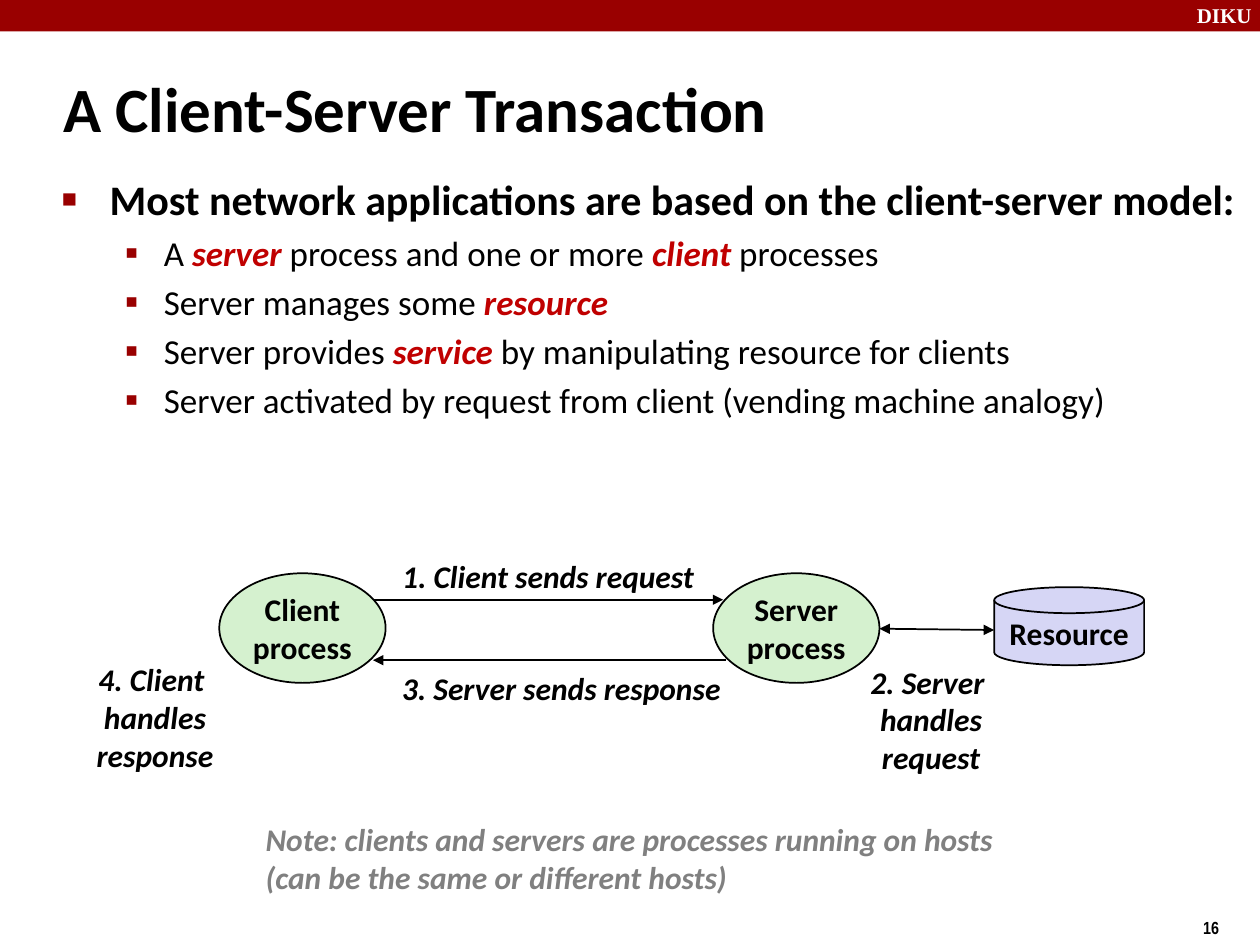
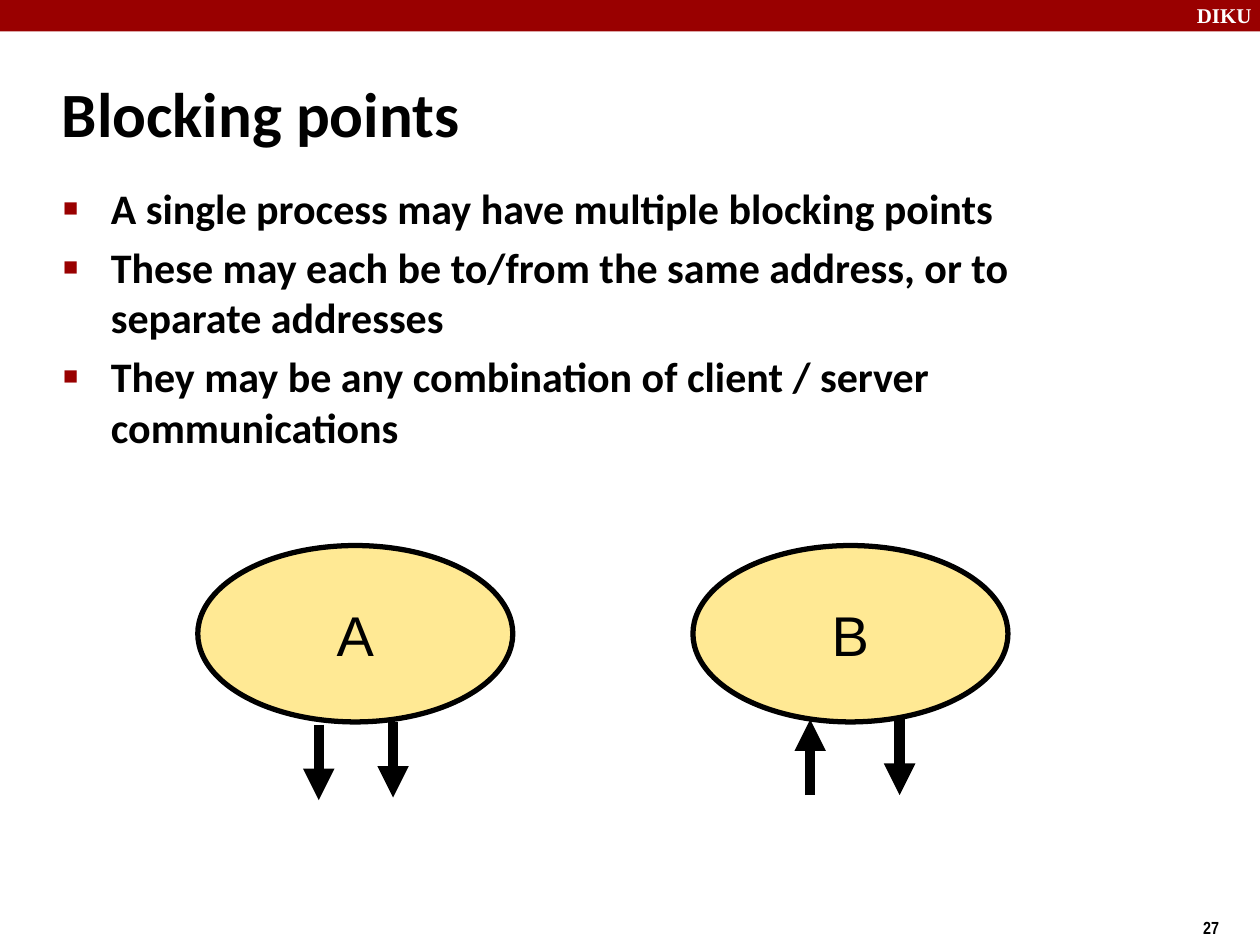
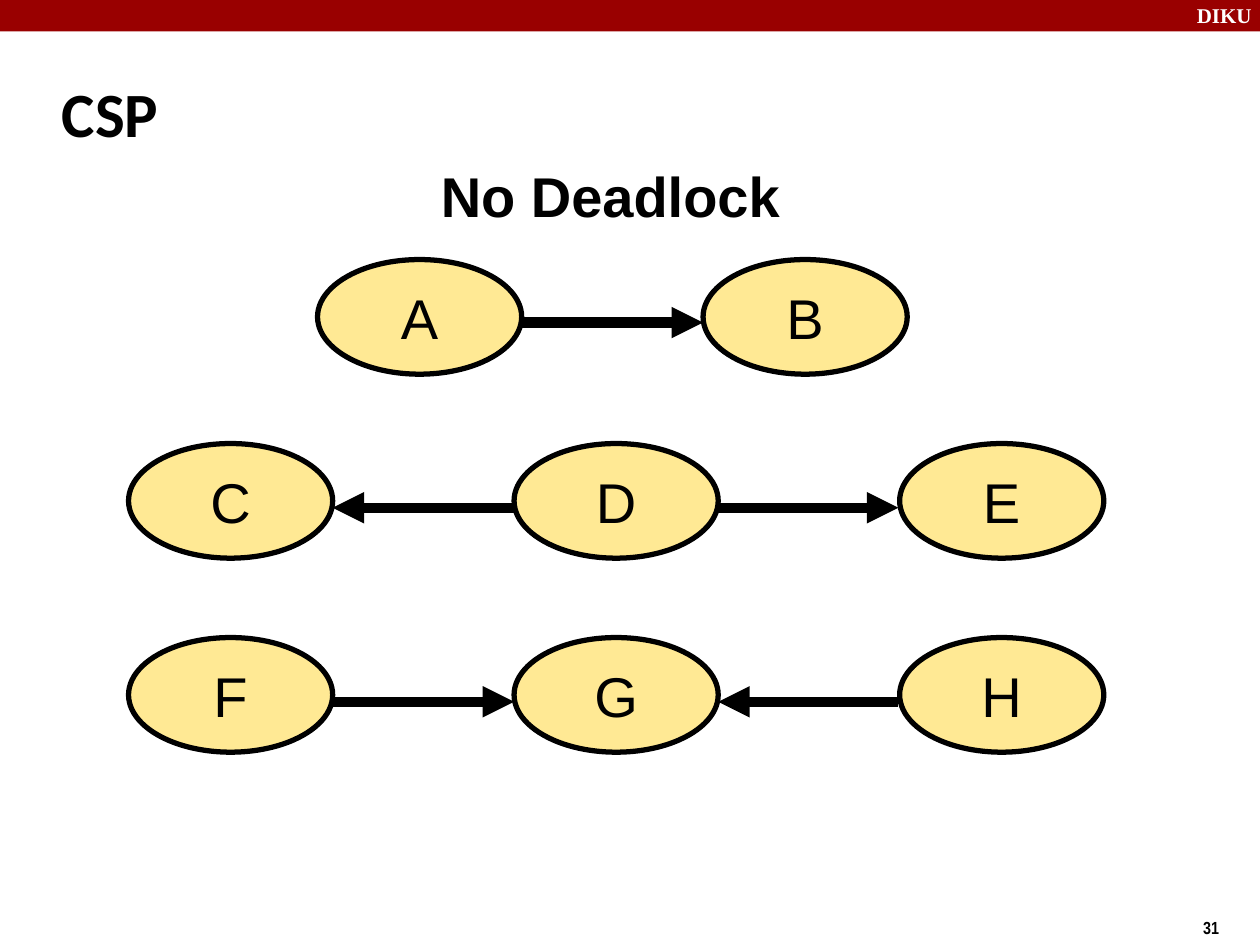
from dataclasses import dataclass

from lxml.etree import SubElement
from pptx import Presentation
from pptx.dml.color import RGBColor
from pptx.enum.shapes import MSO_CONNECTOR, MSO_SHAPE
from pptx.enum.text import MSO_ANCHOR, MSO_AUTO_SIZE, PP_ALIGN
from pptx.oxml.ns import qn
from pptx.util import Inches, Pt


@dataclass(frozen=True)
class Style:
    font: str
    size: int
    color: str = "000000"
    bold: bool = True
    italic: bool = False


@dataclass(frozen=True)
class Theme:
    band: str = "990000"
    ink: str = "000000"
    process: str = "D5F1CF"
    resource: str = "D6D6F5"
    node: str = "FFE994"
    title: Style = Style("Calibri", 36)
    main: Style = Style("Calibri", 24)
    detail: Style = Style("Calibri", 20, bold=False)
    emphasis: Style = Style("Calibri", 20, "C00000", italic=True)
    box: Style = Style("Calibri", 18)
    label: Style = Style("Calibri", 18, italic=True)
    note: Style = Style("Calibri", 18, "808080", italic=True)
    letter: Style = Style("Arial", 32, bold=False)
    heading: Style = Style("Arial", 32)
    brand: Style = Style("Times New Roman", 12, "FFFFFF")
    page: Style = Style("Arial Narrow", 10)


theme = Theme()


def write(frame, paragraphs, alignment=PP_ALIGN.LEFT, anchor=MSO_ANCHOR.TOP, wrap=False):
    """Fill a text frame; each paragraph is a list of (text, style) runs."""
    frame.auto_size = MSO_AUTO_SIZE.NONE
    frame.word_wrap = wrap
    frame.vertical_anchor = anchor
    for index, runs in enumerate(paragraphs):
        paragraph = frame.add_paragraph() if index else frame.paragraphs[0]
        paragraph.alignment = alignment
        for text, style in runs:
            run = paragraph.add_run()
            run.text = text
            run.font.name = style.font
            run.font.size = Pt(style.size)
            run.font.bold = style.bold
            run.font.italic = style.italic
            run.font.color.rgb = RGBColor.from_string(style.color)


def add_arrow(slide, start, end, width, ends=("tailEnd",)):
    points = [Inches(value) for value in (*start, *end)]
    connector = slide.shapes.add_connector(MSO_CONNECTOR.STRAIGHT, *points)
    connector.line.width = Pt(width)
    connector.line.color.rgb = RGBColor.from_string(theme.ink)
    properties = connector.element.spPr
    for end_name in ends:
        SubElement(properties.find(qn("a:ln")), qn(f"a:{end_name}"), type="triangle")
    SubElement(properties, qn("a:effectLst"))


presentation = Presentation()
presentation.slide_width = Inches(10)
presentation.slide_height = Inches(7.5)

# Titles and page numbers
slides = []
for title, page, layout, title_box in [
    ("A Client-Server Transaction", "16", 1, (0.4, 0.54, 7.83, 0.63)),
    ("Blocking points", "27", 1, (0.39, 0.48, 8.3, 0.83)),
    ("CSP", "31", 5, (0.39, 0.48, 8.3, 0.83)),
]:
    slide = presentation.slides.add_slide(presentation.slide_layouts[layout])
    slides.append(slide)
    shape = slide.shapes.title
    shape.left, shape.top, shape.width, shape.height = map(Inches, title_box)
    write(shape.text_frame, [[(title, theme.title)]], anchor=MSO_ANCHOR.MIDDLE, wrap=True)
    number = slide.shapes.add_textbox(*map(Inches, (9.45, 7.23, 0.75, 0.29)))
    write(number.text_frame, [[(page, theme.page)]])
transaction, blocking, csp = slides

# Band and department name, moved to the master so that every slide shows them
band = transaction.shapes.add_shape(MSO_SHAPE.RECTANGLE, 0, 0, Inches(10), Inches(0.25))
band.shadow.inherit = False
band.fill.solid()
band.fill.fore_color.rgb = RGBColor.from_string(theme.band)
band.line.fill.background()
department = transaction.shapes.add_textbox(*map(Inches, (9.4, -0.03, 0.67, 0.3)))
write(department.text_frame, [[("DIKU", theme.brand)]], wrap=True)
for shape_id, shape in enumerate((band, department), 101):
    shape.element.nvSpPr.cNvPr.set("id", str(shape_id))
    presentation.slide_master.element.cSld.spTree.append(shape.element)

# Bulleted lists
main, detail, emphasis = theme.main, theme.detail, theme.emphasis
bullets = [("■", 60000, 0.38, -0.38, 4.8), ("▪", 110000, 0.81, -0.31, 4)]
for slide, box, paragraphs in [
    (transaction, (0.39, 1.33, 9.52, 2.25), [
        [("Most network applications are based on the client-server model:", main)],
        [("A ", detail), ("server", emphasis), (" process and one or more ", detail),
         ("client ", emphasis), ("processes", detail)],
        [("Server manages some ", detail), ("resource", emphasis)],
        [("Server provides ", detail), ("service", emphasis),
         (" by manipulating resource for clients", detail)],
        [("Server activated by request from client (vending machine analogy)", detail)],
    ]),
    (blocking, (0.4, 1.4, 8.97, 2.82), [
        [("A single process may have multiple blocking points", main)],
        [("These may each be to/from the same address, or to separate addresses", main)],
        [("They may be any combination of client / server communications", main)],
    ]),
]:
    body = slide.placeholders[1]
    body.left, body.top, body.width, body.height = map(Inches, box)
    write(body.text_frame, paragraphs, wrap=True)
    for index, (paragraph, runs) in enumerate(zip(body.text_frame.paragraphs, paragraphs)):
        paragraph.level = 0 if runs[0][1] is main else 1
        character, percent, margin, indent, space = bullets[paragraph.level]
        paragraph.space_before = Pt(space if index else 0)
        properties = paragraph._p.get_or_add_pPr()
        properties.set("marL", str(Inches(margin)))
        properties.set("indent", str(Inches(indent)))
        color = SubElement(properties, qn("a:buClr"))
        SubElement(color, qn("a:srgbClr"), val=theme.band)
        SubElement(properties, qn("a:buSzPct"), val=str(percent))
        SubElement(properties, qn("a:buFont"), typeface="Arial")
        SubElement(properties, qn("a:buChar"), char=character)

# Arrows
for start, end in [((2.94, 4.76), (5.74, 4.76)), ((5.76, 5.24), (2.96, 5.24))]:
    add_arrow(transaction, start, end, 1)
add_arrow(transaction, (6.98, 4.99), (7.89, 5), 1, ("headEnd", "tailEnd"))
for x, start, end in [(2.53, 5.75, 6.35), (3.12, 5.73, 6.33),
                      (6.43, 6.31, 5.71), (7.14, 5.71, 6.31)]:
    add_arrow(blocking, (x, start), (x, end), 6)
for y, start, end in [(2.56, 4.14, 5.58), (4.03, 4.08, 2.64), (4.03, 5.7, 7.13),
                      (5.57, 2.64, 4.08), (5.57, 7.13, 5.7)]:
    add_arrow(csp, (start, y), (end, y), 6)

# Processes and the resource
nodes = [
    (transaction, "Client\nprocess", (1.74, 4.55, 1.32, 0.87), theme.process),
    (transaction, "Server\nprocess", (5.66, 4.55, 1.32, 0.87), theme.process),
    (transaction, "Resource", (7.89, 4.66, 1.19, 0.62), theme.resource),
    (blocking, "A", (1.57, 4.33, 2.5, 1.4), theme.node),
    (blocking, "B", (5.5, 4.33, 2.5, 1.4), theme.node),
]
for letters, first_left, top in [("AB", 2.52, 2.06), ("CDE", 1.02, 3.52), ("FGH", 1.02, 5.06)]:
    for column, letter in enumerate(letters):
        nodes.append((csp, letter, (first_left + column * 3.06, top, 1.62, 0.91), theme.node))
for slide, text, box, fill in nodes:
    kind = MSO_SHAPE.FLOWCHART_MAGNETIC_DISK if fill == theme.resource else MSO_SHAPE.OVAL
    style, line_width = (theme.letter, 3) if fill == theme.node else (theme.box, 1)
    node = slide.shapes.add_shape(kind, *map(Inches, box))
    node.shadow.inherit = False
    node.fill.solid()
    node.fill.fore_color.rgb = RGBColor.from_string(fill)
    node.line.color.rgb = RGBColor.from_string(theme.ink)
    node.line.width = Pt(line_width)
    write(node.text_frame, [[(line, style)] for line in text.split("\n")],
          PP_ALIGN.CENTER, MSO_ANCHOR.MIDDLE)

# Labels
for slide, text, box, style in [
    (transaction, "1. Client sends request", (3.09, 4.37, 2.52, 0.4), theme.label),
    (transaction, "3. Server sends response", (3.09, 5.26, 2.73, 0.4), theme.label),
    (transaction, "4. Client \nhandles\nresponse", (0.67, 5.19, 1.12, 1), theme.label),
    (transaction, "2. Server \nhandles\nrequest", (6.81, 5.21, 1.16, 1), theme.label),
    (transaction, "Note: clients and servers are processes running on hosts\n"
     "(can be the same or different hosts)", (2.01, 6.46, 6.03, 0.7), theme.note),
    (csp, "No Deadlock", (3.4, 1.23, 2.9, 0.6), theme.heading),
]:
    label = slide.shapes.add_textbox(*map(Inches, box))
    centred = style is theme.label
    write(label.text_frame, [[(line, style)] for line in text.split("\n")],
          PP_ALIGN.CENTER if centred else PP_ALIGN.LEFT,
          MSO_ANCHOR.MIDDLE if centred else MSO_ANCHOR.TOP)

presentation.save("out.pptx")
